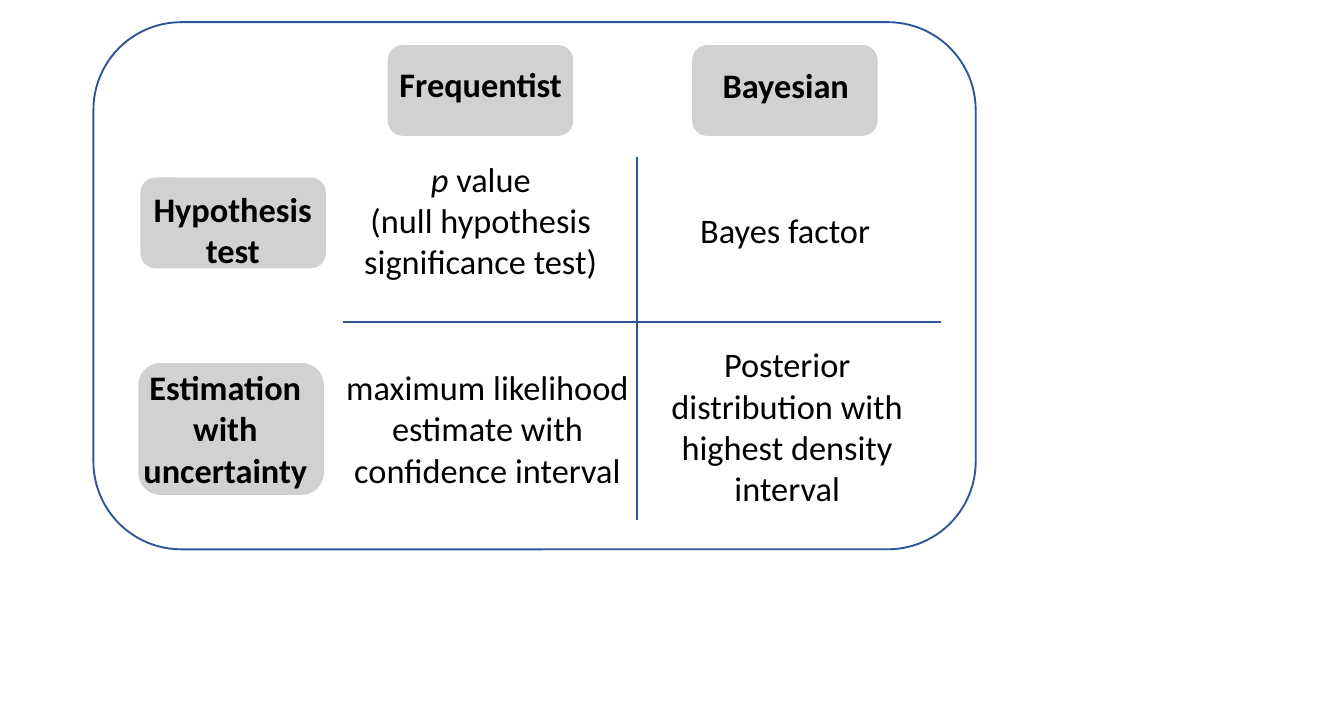
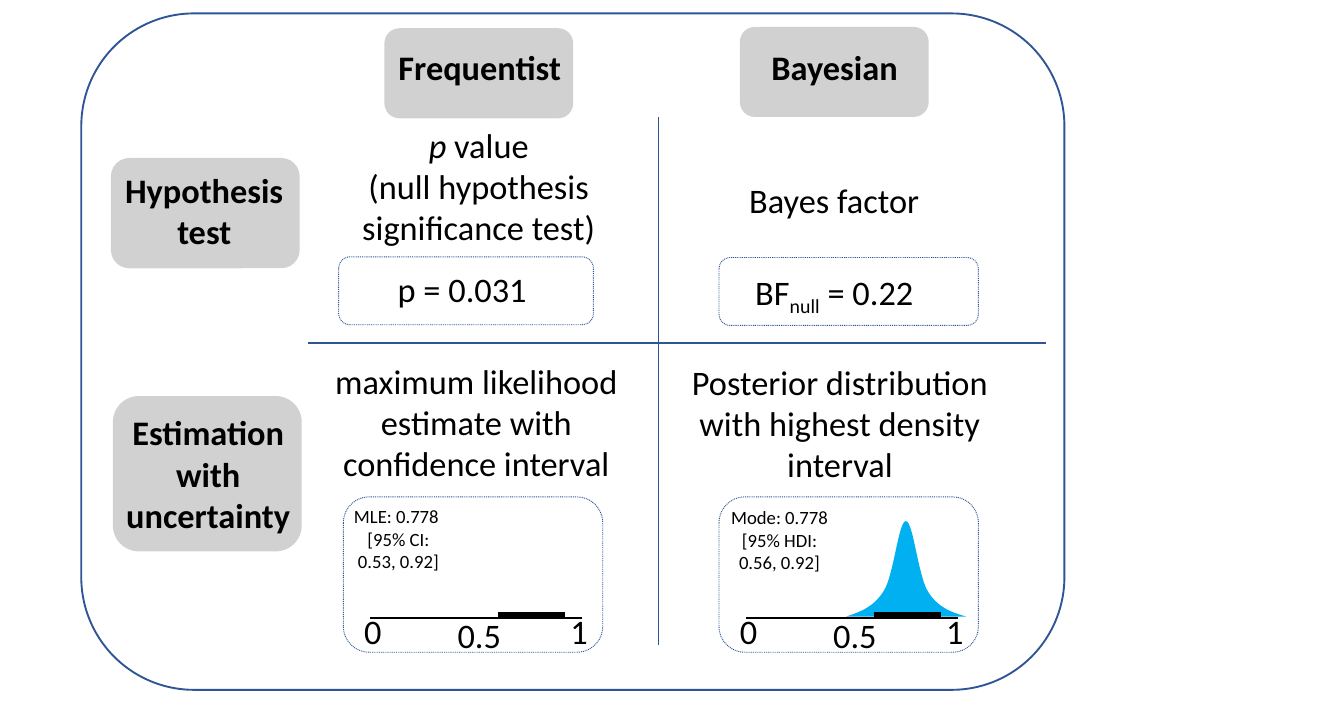
from dataclasses import dataclass
from typing import NamedTuple

from pptx import Presentation
from pptx import util as u
from pptx.dml.color import RGBColor
from pptx.enum import dml, shapes, text
from pptx.oxml import xmlchemy as xc
from pptx.oxml.ns import qn
from lxml import etree


# Theme
@dataclass(frozen=True)
class Theme:
    font: str = "Calibri"
    ink: str = "000000"
    blue: str = "2F5597"
    gray: str = "A5A5A5"
    curve: str = "00B0F0"
    body: float = 36.8
    small: float = 20
    thin: float = 1
    rule: float = 2
    thick: float = 5


T = Theme()


class Box(NamedTuple):
    x: float
    y: float
    w: float
    h: float


class Run(NamedTuple):
    words: str
    slant: bool = False
    sub: bool = False


@dataclass(frozen=True)
class Tag:
    plate: Box
    label: Box


@dataclass(frozen=True)
class Panel:
    frame: Box
    cross: Box  # extent of the two rules
    mid: tuple[float, float]  # where the rules meet
    cells: tuple[Box, ...]
    tags: tuple[Tag, ...]


@dataclass(frozen=True)
class Plot:
    left: float
    note: Box
    lines: tuple[str, str]
    hump: bool = False


# Wording used on both slides
CELLS = (
    ((Run("p ", slant=True), Run("value")), "(null hypothesis significance test)"),
    ("Bayes factor",),
    ("maximum likelihood estimate with confidence interval",),
    ("Posterior distribution with highest density interval",),
)
TAGS = (
    ("Estimation", "with", "uncertainty"),
    ("Hypothesis test",),
    ("Frequentist",),
    ("Bayesian",),
)


# Drawing helpers
def place(box: Box) -> list[u.Length]:
    return [u.Inches(side) for side in box]


def write(host, box: Box, *paras, size: float = T.body, bold: bool = False,
          center: bool = True) -> None:
    frame = host.add_textbox(*place(box)).text_frame
    frame.word_wrap = True
    frame.auto_size = text.MSO_AUTO_SIZE.SHAPE_TO_FIT_TEXT
    for num, para in enumerate(paras):
        line = frame.add_paragraph() if num else frame.paragraphs[0]
        line.alignment = text.PP_ALIGN.CENTER if center else text.PP_ALIGN.LEFT
        for part in (Run(para),) if isinstance(para, str) else para:
            run = line.add_run()
            run.text = part.words
            font = run.font
            font.name, font.size = T.font, u.Pt(size)
            font.bold, font.italic = bold, part.slant
            font.color.rgb = RGBColor.from_string(T.ink)
            if part.sub:
                run._r.get_or_add_rPr().set("baseline", "-25000")


def paint(shape, color: str, alpha: int = 100) -> None:
    shape.shadow.inherit = False
    shape.fill.solid()
    shape.fill.fore_color.rgb = RGBColor.from_string(color)
    shape.line.fill.background()
    if alpha < 100:
        tint = shape._element.spPr.find(qn("a:solidFill"))[0]
        etree.SubElement(tint, qn("a:alpha")).set("val", str(alpha * 1000))


def plate(host, box: Box) -> None:
    shape = host.add_shape(shapes.MSO_SHAPE.ROUNDED_RECTANGLE, *place(box))
    paint(shape, T.gray, alpha=50)


def ring(host, box: Box, dots: bool = False) -> None:
    shape = host.add_shape(shapes.MSO_SHAPE.ROUNDED_RECTANGLE, *place(box))
    shape.shadow.inherit = False
    shape.fill.background()
    shape.line.color.rgb = RGBColor.from_string(T.blue)
    shape.line.width = u.Pt(T.thin if dots else T.rule)
    if dots:
        shape.line.dash_style = dml.MSO_LINE.ROUND_DOT


def rule(host, x1: float, y1: float, x2: float, y2: float,
         color: str = T.ink, width: float = T.rule) -> None:
    ends = [u.Inches(val) for val in (x1, y1, x2, y2)]
    line = host.add_connector(shapes.MSO_CONNECTOR.STRAIGHT, *ends)
    line.line.color.rgb = RGBColor.from_string(color)
    line.line.width = u.Pt(width)
    etree.SubElement(line._element.spPr, qn("a:effectLst"))


# Density curve, sampled from its cubic arcs
ARCS = (
    ((12.59, 9.17), (12.8, 9.1), (13, 9.03), (13.15, 8.79)),
    ((13.15, 8.79), (13.3, 8.56), (13.37, 7.75), (13.48, 7.75)),
    ((13.48, 7.75), (13.59, 7.75), (13.66, 8.56), (13.81, 8.8)),
    ((13.81, 8.8), (13.96, 9.04), (14.17, 9.11), (14.38, 9.17)),
)
STEPS = 16


def bend(arc, t: float) -> tuple[u.Length, u.Length]:
    marks = ((1 - t) ** 3, 3 * t * (1 - t) ** 2, 3 * t * t * (1 - t), t ** 3)
    x, y = (sum(m * p[axis] for m, p in zip(marks, arc)) for axis in (0, 1))
    return u.Inches(x), u.Inches(y)


def hump(host) -> None:
    dots = [bend(arc, step / STEPS) for arc in ARCS for step in range(1, STEPS + 1)]
    pen = host.build_freeform(*bend(ARCS[0], 0))
    pen.add_line_segments(dots, close=True)
    paint(pen.convert_to_shape(), T.curve)


# Parts of the slides
def table(host, panel: Panel) -> None:
    (x, y, w, h), (mid_x, mid_y) = panel.cross, panel.mid
    rule(host, mid_x, y, mid_x, y + h, color=T.blue)
    rule(host, x, mid_y, x + w, mid_y, color=T.blue)
    for box, paras in zip(panel.cells, CELLS):
        write(host, box, *paras)
    for tag, paras in zip(panel.tags, TAGS):
        group = host.add_group_shape().shapes
        plate(group, tag.plate)
        write(group, tag.label, *paras, bold=True)
    ring(host, panel.frame)


def result(host, box: Box, label: Box, *runs: Run) -> None:
    group = host.add_group_shape().shapes
    ring(group, box, dots=True)
    write(group, label, runs, center=False)


def chart(host, plot: Plot) -> None:
    group, x = host.add_group_shape().shapes, plot.left
    ring(group, Box(x, 7.39, 3.86, 2.31), dots=True)
    if plot.hump:
        hump(group)
    for mark, gap, top, wide in (("0", 0.21, 9.03, 0.55), ("1", 3.28, 9.03, 0.55),
                                 ("0.5", 1.6, 9.08, 1.05)):
        write(group, Box(x + gap, top, wide, 0.72), mark, center=False)
    rule(group, x + 2.3, 9.14, x + 3.3, 9.14, width=T.thick)
    write(group, plot.note, *plot.lines, size=T.small)
    rule(group, x + 0.4, 9.19, x + 3.55, 9.19)


# Layouts
PLAIN = Panel(
    frame=Box(1.39, 0.33, 13.13, 7.84),
    cross=Box(5.1, 2.33, 8.91, 5.41),
    mid=(9.48, 4.79),
    cells=(Box(5.3, 2.3, 3.71, 1.96), Box(10, 3.06, 3.37, 0.72),
           Box(4.95, 5.4, 4.61, 1.96), Box(9.47, 5.06, 4.49, 2.58)),
    tags=(Tag(Box(2.06, 5.4, 2.76, 1.96), Box(1.99, 5.4, 2.73, 1.96)),
          Tag(Box(2.09, 2.64, 2.76, 1.35), Box(2.1, 2.75, 2.73, 1.34)),
          Tag(Box(5.77, 0.67, 2.76, 1.35), Box(5.79, 0.89, 2.73, 0.72)),
          Tag(Box(10.3, 0.67, 2.76, 1.35), Box(10.33, 0.91, 2.73, 0.72))),
)
FULL = Panel(
    frame=Box(1.21, 0.2, 14.63, 10.06),
    cross=Box(4.58, 1.74, 10.98, 7.85),
    mid=(9.8, 5.1),
    cells=(Box(5.14, 1.79, 3.97, 1.96), Box(10.7, 2.62, 3.43, 0.72),
           Box(4.74, 5.3, 4.7, 1.96), Box(10, 5.32, 5, 1.96)),
    tags=(Tag(Box(1.68, 5.89, 2.81, 2.31), Box(1.71, 6.07, 2.78, 3.95)),
          Tag(Box(1.65, 2.35, 2.81, 1.64), Box(1.65, 2.47, 2.78, 1.65)),
          Tag(Box(5.72, 0.42, 2.81, 1.34), Box(5.75, 0.64, 2.78, 0.72)),
          Tag(Box(11.01, 0.4, 2.81, 1.34), Box(11.03, 0.64, 2.78, 0.72))),
)
PLOTS = (
    Plot(10.7, Box(10.78, 7.48, 1.64, 1.11),
         ("Mode: 0.778 ", "[95% HDI: 0.56, 0.92]"), hump=True),
    Plot(5.11, Box(5.15, 7.46, 1.56, 1.11),
         ("MLE: 0.778 ", "[95% CI: 0.53, 0.92]")),
)


def main() -> None:
    deck = Presentation()
    deck.slide_width, deck.slide_height = u.Inches(20), u.Inches(10.47)
    blank = deck.slide_layouts[6]

    # Slide 1: the four approaches
    table(deck.slides.add_slide(blank).shapes, PLAIN)

    # Slide 2: the approaches with their results
    host = deck.slides.add_slide(blank).shapes
    table(host, FULL)
    result(host, Box(5.04, 3.82, 3.79, 1.01), Box(5.82, 3.94, 2.23, 0.72),
           Run("p = 0.031"))
    result(host, Box(10.7, 3.83, 3.86, 1.01), Box(11.14, 3.98, 2.82, 0.72),
           Run("BF"), Run("null", sub=True), Run(" = 0.22"))
    for plot in PLOTS:
        chart(host, plot)

    deck.save("out.pptx")


if __name__ == "__main__":
    main()
